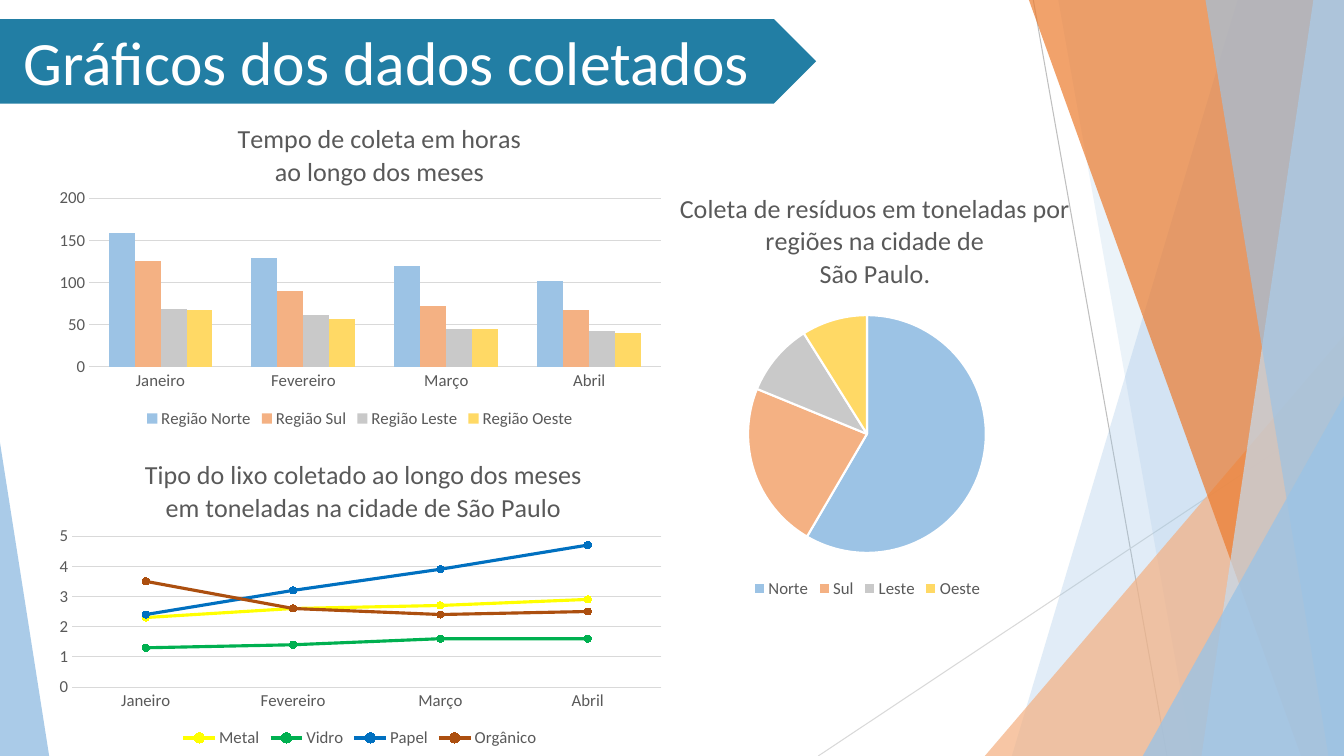
from lxml import etree
from pptx import Presentation
from pptx.chart.data import CategoryChartData
from pptx.dml.color import RGBColor
from pptx.enum.chart import XL_CHART_TYPE as CT, XL_LEGEND_POSITION as LP
from pptx.enum.chart import XL_MARKER_STYLE as MS, XL_TICK_MARK as TM
from pptx.enum.shapes import MSO_CONNECTOR, MSO_SHAPE as SHP
from pptx.enum.text import MSO_ANCHOR, PP_ALIGN
from pptx.oxml.ns import qn
from pptx.util import Cm, Pt

COLORS = {
    "blue": "9CC3E5", "pale": "C4DBEF", "peach": "F4B183", "orange": "EC7B2D",
    "silver": "C9C9C9", "gold": "FFD965", "banner": "227EA4", "white": "FFFFFF",
    "text": "595959", "grid": "D9D9D9", "rule": "BFBFBF",
    "metal": "FFFF00", "vidro": "00B050", "papel": "0070C0", "organico": "AC4F0F",
}
FONT = "Calibri"
WIDTH, HEIGHT = 33.87, 19.05
REGION_COLORS = ["blue", "peach", "silver", "gold"]
WASTE_COLORS = ["metal", "vidro", "papel", "organico"]
MONTHS = ["Janeiro", "Fevereiro", "Março", "Abril"]


def rgb(name):
    return RGBColor.from_string(COLORS[name])


def paint(fill, name, alpha=100):
    fill.solid()
    fill.fore_color.rgb = rgb(name)
    if alpha < 100:
        clr = fill._xPr.find(".//" + qn("a:srgbClr"))
        etree.SubElement(clr, qn("a:alpha")).set("val", str(alpha * 1000))


def finish(sp, name, alpha=100):
    sp.shadow.inherit = False
    sp.line.fill.background()
    paint(sp.fill, name, alpha)


def style_font(font, size, name="text"):
    font.name, font.size, font.bold = FONT, Pt(size), False
    font.color.rgb = rgb(name)


def add_line(slide, x1, y1, x2, y2, name):
    line = slide.shapes.add_connector(
        MSO_CONNECTOR.STRAIGHT, Cm(x1), Cm(y1), Cm(x2), Cm(y2))
    line.line.color.rgb = rgb(name)
    line.line.width = Pt(0.75)
    etree.SubElement(line._element.spPr, qn("a:effectLst"))


def add_band(slide, right, height, top_gap, bottom_gap, name, alpha):
    fb = slide.shapes.build_freeform(Cm(right - top_gap), 0)
    fb.add_line_segments([(Cm(right), 0), (Cm(right), Cm(height)),
                          (Cm(right - bottom_gap), Cm(height))])
    finish(fb.convert_to_shape(), name, alpha)


def add_corner(slide, x, bottom, w, h, apex, name, alpha):
    sp = slide.shapes.add_shape(
        SHP.ISOSCELES_TRIANGLE, Cm(x), Cm(bottom - h), Cm(w), Cm(h))
    sp.adjustments[0] = apex
    finish(sp, name, alpha)


def draw_backdrop(slide, w, h):
    add_line(slide, w - 7.83, 0, w - 4.46, h, "rule")
    add_line(slide, w, 10.24, w - 13.25, h, "grid")
    add_band(slide, w, h, 2.68, 8.37, "blue", 30)
    add_band(slide, w, h, 7.2, 3.82, "blue", 20)
    add_corner(slide, w - 9.05, h, 9.05, 10.59, 1, "peach", 72)
    add_band(slide, w, h, 7.94, 1.08, "orange", 70)
    add_band(slide, w, h, 0.77, 3.59, "pale", 70)
    add_band(slide, w, h, 3.49, 0.39, "blue", 65)
    add_corner(slide, w - 5.07, h, 5.07, 9.07, 1, "blue", 80)
    add_corner(slide, 0, h, 1.24, 7.9, 0, "blue", 85)


def draw_banner(slide, x, y, w, h):
    sp = slide.shapes.add_shape(SHP.PENTAGON, Cm(x), Cm(y), Cm(w), Cm(h))
    finish(sp, "banner")
    tf = sp.text_frame
    tf.margin_left = Cm(0.6)
    tf.margin_top = tf.margin_bottom = 0
    tf.word_wrap = True
    tf.vertical_anchor = MSO_ANCHOR.MIDDLE
    p = tf.paragraphs[0]
    p.text = "Gráficos dos dados coletados"
    p.alignment = PP_ALIGN.LEFT
    style_font(p.font, 44, "white")


def set_layout(parent, index, **values):
    for old in parent.findall(qn("c:layout")):
        parent.remove(old)
    layout = etree.Element(qn("c:layout"))
    manual = etree.SubElement(layout, qn("c:manualLayout"))
    for tag, value in values.items():
        etree.SubElement(manual, qn("c:" + tag)).set("val", str(value))
    parent.insert(index, layout)


def add_chart(slide, kind, box, cats, series, title, title_at, plot_box):
    data = CategoryChartData()
    data.categories = cats
    for name, values in series:
        data.add_series(name, values)
    chart = slide.shapes.add_chart(kind, *map(Cm, box), data).chart
    style_font(chart.font, 12)
    chart.has_title = True
    tf = chart.chart_title.text_frame
    tf.text = title
    for p in tf.paragraphs:
        p.alignment = PP_ALIGN.CENTER
        style_font(p.font, 18.6)
    set_layout(chart.chart_title._element, 1, xMode="edge", yMode="edge",
               x=title_at[0], y=title_at[1])
    px, py, pw, ph = plot_box
    set_layout(chart._chartSpace.find(".//" + qn("c:plotArea")), 0,
               layoutTarget="inner", xMode="edge", yMode="edge",
               x=px, y=py, w=pw, h=ph)
    chart.has_legend = True
    chart.legend.position = LP.BOTTOM
    chart.legend.include_in_layout = False
    style_font(chart.legend.font, 12)
    return chart


def style_axes(chart, maximum, step):
    cat, val = chart.category_axis, chart.value_axis
    for axis in (cat, val):
        axis.major_tick_mark = axis.minor_tick_mark = TM.NONE
        style_font(axis.tick_labels.font, 12)
    val.minimum_scale, val.maximum_scale, val.major_unit = 0, maximum, step
    val.format.line.fill.background()
    val.has_major_gridlines = True
    for line in (cat.format.line, val.major_gridlines.format.line):
        line.color.rgb = rgb("grid")
        line.width = Pt(0.75)


def draw_region_pie(slide, *box):
    chart = add_chart(
        slide, CT.PIE, box, ["Norte", "Sul", "Leste", "Oeste"],
        [("Series 1", [59, 23, 10, 9])],
        "Coleta de resíduos em toneladas por\nregiões na cidade de\nSão Paulo.",
        (0.126, 0.02), (0.266, 0.32, 0.467, 0.563))
    points = chart.plots[0].series[0].points
    for i, name in enumerate(REGION_COLORS):
        fmt = points[i].format
        paint(fmt.fill, name)
        fmt.line.color.rgb = rgb("white")
        fmt.line.width = Pt(1.5)


def draw_time_columns(slide, *box):
    chart = add_chart(
        slide, CT.COLUMN_CLUSTERED, box, MONTHS,
        [("Região Norte", [159, 129, 120, 102]),
         ("Região Sul", [126, 90, 72, 68]),
         ("Região Leste", [69, 61, 45, 42]),
         ("Região Oeste", [68, 57, 45, 40])],
        "Tempo de coleta em horas\nao longo dos meses",
        (0.3, 0.07), (0.068, 0.306, 0.912, 0.5))
    style_axes(chart, 200, 50)
    plot = chart.plots[0]
    plot.gap_width, plot.overlap = 150, 0
    plot.vary_by_categories = False
    for ser, name in zip(plot.series, REGION_COLORS):
        paint(ser.format.fill, name)


def draw_waste_lines(slide, *box):
    chart = add_chart(
        slide, CT.LINE_MARKERS, box, MONTHS,
        [("Metal", [2.3, 2.6, 2.7, 2.9]), ("Vidro", [1.3, 1.4, 1.6, 1.6]),
         ("Papel", [2.4, 3.2, 3.9, 4.7]), ("Orgânico", [3.5, 2.6, 2.4, 2.5])],
        "Tipo do lixo coletado ao longo dos meses\n"
        "em toneladas na cidade de São Paulo",
        (0.152, 0.068), (0.041, 0.324, 0.94, 0.473))
    style_axes(chart, 5, 1)
    chart.plots[0].vary_by_categories = False
    for ser, name in zip(chart.plots[0].series, WASTE_COLORS):
        ser.smooth = False
        ser.format.line.color.rgb = rgb(name)
        ser.format.line.width = Pt(2.25)
        ser.marker.style, ser.marker.size = MS.CIRCLE, 5
        paint(ser.marker.format.fill, name)
        ser.marker.format.line.color.rgb = rgb(name)


def main():
    prs = Presentation()
    prs.slide_width, prs.slide_height = Cm(WIDTH), Cm(HEIGHT)
    slide = prs.slides.add_slide(prs.slide_layouts[6])
    draw_backdrop(slide, WIDTH, HEIGHT)
    draw_banner(slide, 0, 0.48, 20.57, 2.13)
    draw_region_pie(slide, 15.44, 4.52, 12.83, 10.67)
    draw_time_columns(slide, 1.17, 2.39, 15.8, 8.51)
    draw_waste_lines(slide, 1.17, 10.9, 15.8, 8.05)
    prs.save("out.pptx")


if __name__ == "__main__":
    main()
